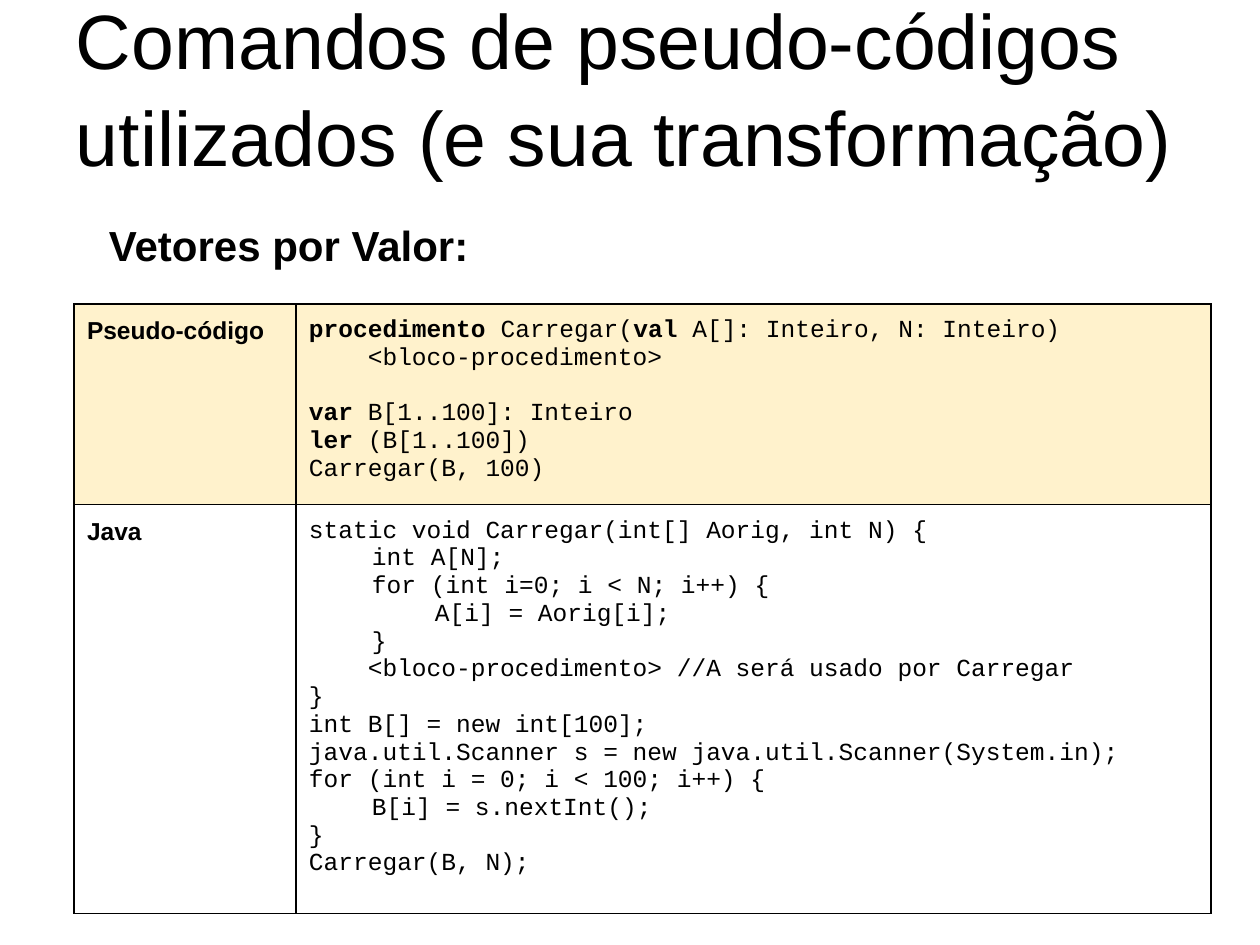
from lxml import etree
from pptx import Presentation
from pptx.dml.color import RGBColor
from pptx.enum import text
from pptx.oxml import ns
from pptx.util import Emu, Pt

PX = 914400 / 126


class Theme:
    ink = RGBColor(0, 0, 0)
    cream = RGBColor(0xFF, 0xF2, 0xCC)
    sans, mono = "Arial", "Courier New"
    title, head, code = 44, 24, 14
    rule = 0.75


def px(n):
    return Emu(round(n * PX))


def write(frame, lines, face, size, pad=13):
    """Write lines of (words, bold) runs; an empty line becomes space before the next."""
    frame.word_wrap = True
    frame.margin_left = frame.margin_right = px(pad)
    frame.margin_top = frame.margin_bottom = px(pad)
    first, gap = True, False
    for line in lines:
        if not line:
            gap = True
            continue
        para = frame.paragraphs[0] if first else frame.add_paragraph()
        para.alignment = text.PP_ALIGN.LEFT
        if gap:
            para.space_before = Pt(15.85)
        first, gap = False, False
        for words, bold in line:
            run = para.add_run()
            run.text = words
            run.font.name, run.font.size = face, Pt(size)
            run.font.bold, run.font.color.rgb = bold, Theme.ink


deck = Presentation()
deck.slide_width, deck.slide_height = px(1260), px(945)
slide = deck.slides.add_slide(deck.slide_layouts[6])

# Title and heading
for box, words, size, bold, space, anchor in [
    ((63, 38, 1134, 157), "Comandos de pseudo-códigos utilizados (e sua transformação)",
     Theme.title, False, 1.05, text.MSO_ANCHOR.BOTTOM),
    ((96, 199, 998, 684), "Vetores por Valor:",
     Theme.head, True, 1.15, text.MSO_ANCHOR.TOP),
]:
    frame = slide.shapes.add_textbox(*map(px, box)).text_frame
    write(frame, [[(words, bold)]], Theme.sans, size)
    frame.vertical_anchor = anchor
    frame.paragraphs[0].line_spacing = space

# Code listings
pseudo = [
    [("procedimento ", True), ("Carregar(", False), ("val ", True),
     ("A[]: Inteiro, N: Inteiro)", False)],
    [("    <bloco-procedimento>", False)],
    [],
    [("var", True), (" B[1..100]: Inteiro", False)],
    [("ler ", True), ("(B[1..100])", False)],
    [("Carregar(B, 100)", False)],
]
java = """static void Carregar(int[] Aorig, int N) {
\tint A[N];
\tfor (int i=0; i < N; i++) {
\t\tA[i] = Aorig[i];
\t}
    <bloco-procedimento> //A será usado por Carregar
}
int B[] = new int[100];
java.util.Scanner s = new java.util.Scanner(System.in);
for (int i = 0; i < 100; i++) {
\tB[i] = s.nextInt();
}
Carregar(B, N);"""
rows = [
    ("Pseudo-código", pseudo, 192, Theme.cream),
    ("Java", [[(line, False)] for line in java.split("\n")], 386, None),
]

# Table
grid = slide.shapes.add_table(2, 2, px(74), px(304), px(1137), px(578)).table
grid.first_row = grid.horz_banding = False
for col, wide in zip(grid.columns, (222, 915)):
    col.width = px(wide)
for row, (name, code, high, fill) in zip(grid.rows, rows):
    row.height = px(high)
    label, body = row.cells
    write(label.text_frame, [[(name, True)]], Theme.sans, Theme.code)
    write(body.text_frame, code, Theme.mono, Theme.code)
    for cell in (label, body):
        cell.margin_left = cell.margin_right = px(13)
        cell.margin_top = cell.margin_bottom = px(13)
        # Borders come before the fill in the cell's XML
        props = cell._tc.get_or_add_tcPr()
        for side in ("lnL", "lnR", "lnT", "lnB"):
            edge = etree.SubElement(props, ns.qn("a:" + side), w=str(Pt(Theme.rule)))
            paint = etree.SubElement(edge, ns.qn("a:solidFill"))
            etree.SubElement(paint, ns.qn("a:srgbClr"), val=str(Theme.ink))
        if fill:
            cell.fill.solid()
            cell.fill.fore_color.rgb = fill
        else:
            cell.fill.background()

deck.save("out.pptx")
